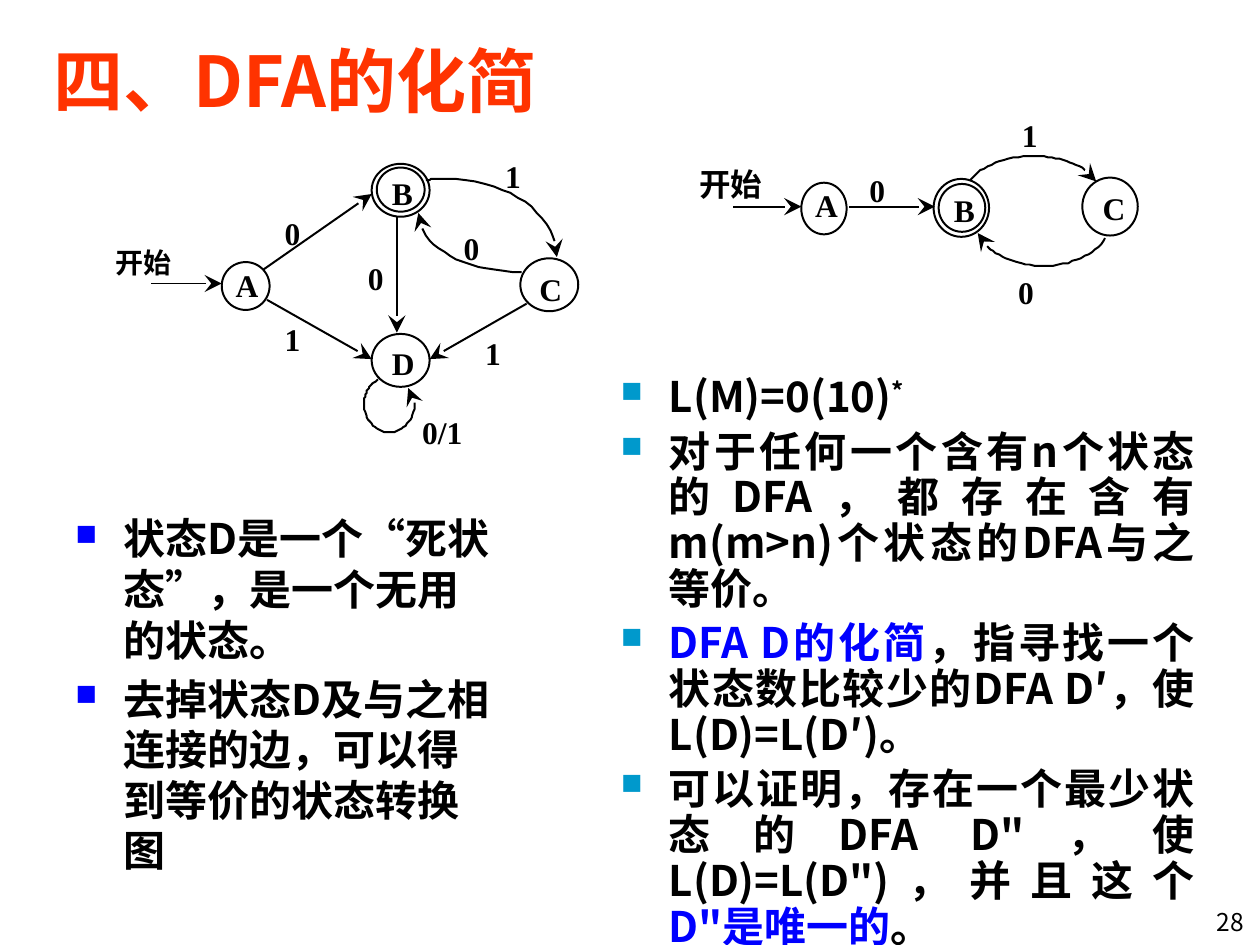
from dataclasses import dataclass
from typing import NamedTuple

from lxml import etree
from pptx import Presentation
from pptx.dml.color import RGBColor
from pptx.enum import shapes, text
from pptx.oxml.ns import qn
from pptx.util import Pt

PX = 9144  # EMU per px, 100 px to the inch
BLACK = RGBColor(0x00, 0x00, 0x00)
WHITE = RGBColor(0xFF, 0xFF, 0xFF)
ORANGE = RGBColor(0xFF, 0x33, 0x00)
BLUE = RGBColor(0x00, 0x00, 0xFF)
TEAL = RGBColor(0x00, 0x99, 0xCC)
SANS = "Noto Sans CJK SC"
SERIF = "Times New Roman"
STROKE = Pt(1.13)
CURVE_STEPS = 16


class Box(NamedTuple):
    left: int
    top: int
    width: int
    height: int

    def emu(self) -> list[int]:
        return [side * PX for side in self]


class Label(NamedTuple):
    words: str
    left: int
    top: int
    width: int = 12
    size: int = 18


class State(NamedTuple):
    name: Label
    circle: Box
    inner: Box | None = None  # second ring of an accepting state


class Edge(NamedTuple):
    start: tuple[int, int]
    tip: tuple[int, int]


class Arc(NamedTuple):
    """Cubic curve through points (start, then triples), then straight to tip."""
    points: list[tuple[int, int]]
    tip: tuple[int, int]


@dataclass
class Automaton:
    states: list[State]
    edges: list[Edge]
    arcs: list[Arc]
    labels: list[Label]


class Span(NamedTuple):
    words: str
    color: RGBColor | None = None
    font: str | None = None
    raised: bool = False


@dataclass
class BulletList:
    box: Box
    color: RGBColor
    align: text.PP_ALIGN
    pitch: float
    items: list[list[Span]]


FULL = Automaton(
    states=[
        State(Label("A", 187, 211, 18), Box(176, 208, 38, 38)),
        State(Label("B", 311, 138, 18), Box(295, 130, 46, 42), Box(299, 133, 38, 35)),
        State(Label("C", 428, 214, 18), Box(413, 205, 46, 42)),
        State(Label("D", 311, 273, 18), Box(295, 265, 46, 42)),
    ],
    edges=[
        Edge((120, 225), (176, 225)),
        Edge((209, 214), (295, 154)),
        Edge((212, 238), (295, 285)),
        Edge((315, 172), (315, 264)),
        Edge((418, 241), (341, 285)),
    ],
    arcs=[
        Arc([(338, 143), (344, 142), (349, 142), (354, 142),
             (397, 142), (434, 164), (441, 194)], (442, 204)),
        Arc([(414, 216), (375, 216), (342, 201), (334, 179)], (332, 169)),
        Arc([(300, 301), (293, 305), (289, 312), (289, 321),
             (289, 333), (298, 343), (309, 343),
             (320, 343), (329, 333), (329, 321),
             (329, 320), (329, 318), (329, 317)], (324, 308)),
    ],
    labels=[
        Label("开始", 92, 195, 45, 16),
        Label("0", 226, 170), Label("1", 226, 254), Label("0", 292, 206),
        Label("0", 368, 182), Label("1", 401, 125), Label("1", 385, 265),
        Label("0/1", 335, 328, 32),
    ],
)
REDUCED = Automaton(
    states=[
        State(Label("A", 647, 148, 18), Box(636, 145, 36, 41)),
        State(Label("B", 757, 152, 18), Box(741, 142, 44, 46), Box(745, 146, 37, 38)),
        State(Label("C", 875, 150, 18), Box(859, 141, 44, 46)),
    ],
    edges=[Edge((582, 164), (636, 164)), Edge((674, 164), (742, 164))],
    arcs=[
        Arc([(770, 143), (778, 132), (798, 124), (820, 124),
             (837, 124), (853, 128), (863, 136)], (870, 144)),
        Arc([(877, 189), (870, 202), (850, 211), (828, 211),
             (809, 211), (791, 204), (782, 194)], (776, 185)),
    ],
    labels=[Label("开始", 555, 131, 50), Label("0", 690, 136),
            Label("1", 811, 92), Label("0", 808, 217)],
)
DEAD_STATE = BulletList(Box(50, 402, 350, 323), BLUE, text.PP_ALIGN.LEFT, 28.9, [
    [Span("状态D是一个"), Span("“", font=SERIF), Span("死状态"),
     Span("”", font=SERIF), Span("，是一个无用的状态。")],
    [Span("去掉状态D及与之相连接的边，可以得到等价的状态转换图")],
])
MINIMIZATION = BulletList(Box(483, 293, 475, 432), TEAL, text.PP_ALIGN.JUSTIFY, 26.2, [
    [Span("L(M)=0(10)"), Span("*", raised=True)],
    [Span("对于任何一个含有n个状态的DFA，都存在含有m(m>n)个状态的DFA与之等价。")],
    [Span("DFA D的化简", BLUE),
     Span("，指寻找一个状态数比较少的DFA D′，使L(D)=L(D′)。")],
    [Span("可以证明，存在一个最少状态的DFA D\"，使L(D)=L(D\")，并且这个"),
     Span("D\"是唯一的", BLUE), Span("。")],
])


def set_font(paragraph, size: int, name: str = SANS, color: RGBColor = BLACK,
             bold: bool = True) -> None:
    font = paragraph.font
    font.size, font.name, font.bold = Pt(size), name, bold
    font.color.rgb = color
    latin = paragraph._p.pPr.find(qn("a:defRPr")).find(qn("a:latin"))
    latin.addnext(latin.makeelement(qn("a:ea"), {"typeface": SANS}))


def add_line_of_text(parent, box: Box, words: str):
    frame = parent.add_textbox(*box.emu()).text_frame
    frame.word_wrap = True
    frame.text = words
    return frame


def draw_label(parent, label: Label) -> None:
    frame = add_line_of_text(parent, Box(label.left, label.top, label.width, 30), label.words)
    frame.word_wrap = False
    frame.margin_left = frame.margin_top = frame.margin_right = frame.margin_bottom = 0
    set_font(frame.paragraphs[0], label.size, SERIF)


def draw_ring(parent, box: Box) -> None:
    ring = parent.add_shape(shapes.MSO_SHAPE.OVAL, *box.emu())
    ring.shadow.inherit = False
    ring.fill.solid()
    ring.fill.fore_color.rgb = WHITE
    ring.line.color.rgb = BLACK
    ring.line.width = STROKE


def style_arrow(arrow) -> None:
    arrow.line.color.rgb = BLACK
    arrow.line.width = STROKE
    etree.SubElement(arrow.line._get_or_add_ln(), qn("a:tailEnd"),
                     type="stealth", w="lg", len="lg")


def draw_edge(parent, edge: Edge) -> None:
    ends = [value * PX for value in (*edge.start, *edge.tip)]
    arrow = parent.add_connector(shapes.MSO_CONNECTOR.STRAIGHT, *ends)
    style_arrow(arrow)
    etree.SubElement(arrow._element.spPr, qn("a:effectLst"))


def cubic(t: float, *controls: int) -> float:
    return sum(weight * value * (1 - t) ** (3 - power) * t ** power
               for power, (weight, value) in enumerate(zip((1, 3, 3, 1), controls)))


def draw_arc(parent, arc: Arc) -> None:
    outline = []
    for first in range(0, len(arc.points) - 1, 3):
        xs, ys = zip(*arc.points[first:first + 4])
        outline += [(cubic(step / CURVE_STEPS, *xs), cubic(step / CURVE_STEPS, *ys))
                    for step in range(1, CURVE_STEPS + 1)]
    builder = parent.build_freeform(*arc.points[0], scale=PX)
    builder.add_line_segments([*outline, arc.tip], close=False)
    arrow = builder.convert_to_shape()
    arrow.shadow.inherit = False
    arrow.fill.background()
    style_arrow(arrow)


def draw_automaton(slide, automaton: Automaton) -> None:
    parent = slide.shapes.add_group_shape().shapes
    for state in automaton.states:
        draw_ring(parent, state.circle)
        if state.inner:
            draw_ring(parent, state.inner)
        draw_label(parent, state.name)
    for edge in automaton.edges:
        draw_edge(parent, edge)
    for arc in automaton.arcs:
        draw_arc(parent, arc)
    for label in automaton.labels:
        draw_label(parent, label)


def add_bullet(paragraph, color: RGBColor) -> None:
    props = paragraph._p.get_or_add_pPr()
    props.set("marL", str(38 * PX))
    props.set("indent", str(-38 * PX))
    tint = etree.SubElement(props, qn("a:buClr"))
    etree.SubElement(tint, qn("a:srgbClr"), val=str(color))
    etree.SubElement(props, qn("a:buSzPct"), val="70000")
    etree.SubElement(props, qn("a:buChar"), char="■")


def draw_bullets(slide, bullets: BulletList) -> None:
    frame = slide.shapes.add_textbox(*bullets.box.emu()).text_frame
    frame.word_wrap = True
    for index, spans in enumerate(bullets.items):
        paragraph = frame.add_paragraph() if index else frame.paragraphs[0]
        add_bullet(paragraph, bullets.color)
        set_font(paragraph, 24)
        paragraph.alignment = bullets.align
        paragraph.line_spacing = Pt(bullets.pitch)
        paragraph.space_before = Pt(4.8 if index else 0)
        for span in spans:
            run = paragraph.add_run()
            run.text = span.words
            if span.color is not None:
                run.font.color.rgb = span.color
            if span.font:
                run.font.name = span.font
            if span.raised:
                run._r.get_or_add_rPr().set("baseline", "30000")


def main() -> None:
    deck = Presentation()
    deck.slide_width, deck.slide_height = 1000 * PX, 750 * PX
    slide = deck.slides.add_slide(deck.slide_layouts[6])
    title = add_line_of_text(slide.shapes, Box(33, 17, 942, 92), "四、DFA的化简")
    title.vertical_anchor = text.MSO_ANCHOR.MIDDLE
    set_font(title.paragraphs[0], 40, color=ORANGE)
    draw_bullets(slide, DEAD_STATE)
    draw_automaton(slide, FULL)
    draw_automaton(slide, REDUCED)
    draw_bullets(slide, MINIMIZATION)
    number = add_line_of_text(slide.shapes, Box(918, 715, 79, 30), "28").paragraphs[0]
    number.alignment = text.PP_ALIGN.RIGHT
    set_font(number, 14, bold=False)
    deck.save("out.pptx")


if __name__ == "__main__":
    main()
